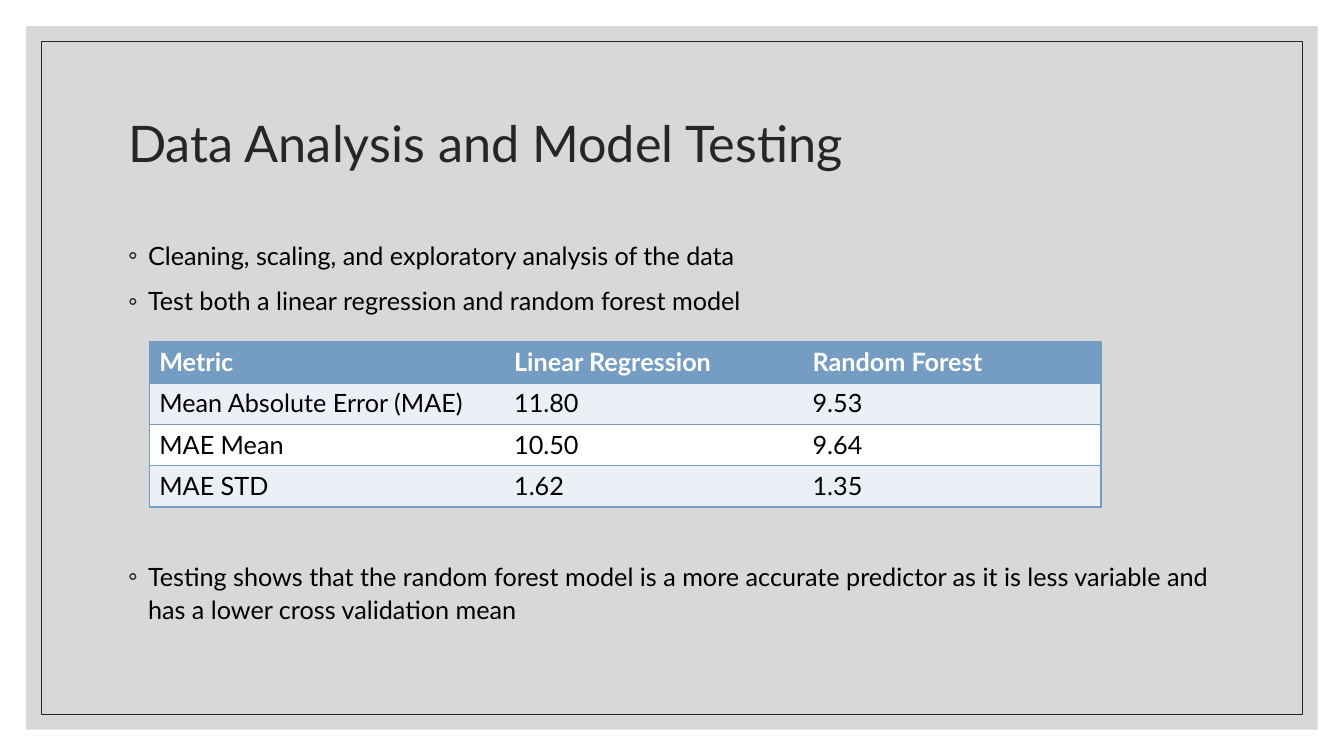
from dataclasses import dataclass

from lxml.etree import SubElement
from pptx import Presentation
from pptx.dml.color import RGBColor
from pptx.enum.shapes import MSO_SHAPE as Shp
from pptx.enum.text import MSO_ANCHOR as Anchor, MSO_AUTO_SIZE as Fit, PP_ALIGN as Align
from pptx.oxml import parse_xml
from pptx.oxml.ns import nsdecls, qn
from pptx.util import Inches, Pt

COLORS = {"gray": "BFBFBF", "dark": "262626", "text": "000000",
          "white": "FFFFFF", "blue": "759DC3", "band": "ECEFF5"}
FONT = "Lato"


@dataclass
class Frame:
    """An inset rectangle around the slide."""
    inset: float
    fill: str = ""
    alpha: int = 100
    line: str = ""


@dataclass
class Bullet:
    """A bullet and the space above it in points."""
    text: str
    before: float = 9


FRAMES = [Frame(0.26, fill="gray", alpha=60), Frame(0.41, line="dark")]
TITLE = "Data Analysis and Model Testing"
BULLETS = [
    Bullet("Cleaning, scaling, and exploratory analysis of the data"),
    Bullet("Test both a linear regression and random forest model"),
    Bullet("Testing shows that the random forest model is a more accurate predictor "
           "as it is less variable and has a lower cross validation mean", 173),
]
ROWS = [
    ("Metric", "Linear Regression", "Random Forest"),
    ("Mean Absolute Error (MAE)", "11.80", "9.53"),
    ("MAE Mean", "10.50", "9.64"),
    ("MAE STD", "1.62", "1.35"),
]
COL_WIDTHS = (3.52, 2.96, 2.96)
ROW_HEIGHT = 0.41


def rgb(name: str) -> RGBColor:
    """Return a named colour."""
    return RGBColor.from_string(COLORS[name])


def set_attrs(obj, values: dict) -> None:
    """Set every attribute in values on obj."""
    for key, value in values.items():
        setattr(obj, key, value)


def add_run(p, text: str, size: float, color: str, bold: bool = False) -> None:
    """Add a formatted run to a paragraph."""
    r = p.add_run()
    r.text = text
    set_attrs(r.font, {"name": FONT, "size": Pt(size), "bold": bold})
    r.font.color.rgb = rgb(color)


def add_frame(prs, s, frame: Frame) -> None:
    """Draw a frame behind the title."""
    inset = Inches(frame.inset)
    sp = s.shapes.add_shape(Shp.RECTANGLE, inset, inset,
                            prs.slide_width - 2 * inset, prs.slide_height - 2 * inset)
    sp.shadow.inherit = False
    if frame.fill:
        sp.fill.solid()
        sp.fill.fore_color.rgb = rgb(frame.fill)
        clr = sp.element.spPr.find(".//" + qn("a:srgbClr"))
        SubElement(clr, qn("a:alpha"), val=str(frame.alpha * 1000))
    else:
        sp.fill.background()
    if frame.line:
        sp.line.color.rgb = rgb(frame.line)
        sp.line.width = Pt(0.5)
    else:
        sp.line.fill.background()
    s.shapes.title.element.addprevious(sp.element)


def add_title(s) -> None:
    """Place and format the title."""
    sp = s.shapes.title
    set_attrs(sp, {"left": Inches(1.17), "top": Inches(0.7),
                   "width": Inches(11), "height": Inches(1.5)})
    tf = sp.text_frame
    set_attrs(tf, {"vertical_anchor": Anchor.MIDDLE, "auto_size": Fit.NONE, "word_wrap": True})
    p = tf.paragraphs[0]
    set_attrs(p, {"alignment": Align.LEFT, "line_spacing": 0.9})
    add_run(p, TITLE, 36, "dark")


def add_bullets(s, bullets: list[Bullet]) -> None:
    """Write the bullets in one text box."""
    sp = s.shapes.add_textbox(Inches(1.17), Inches(2.3), Inches(11), Inches(4.21))
    tf = sp.text_frame
    tf.word_wrap = True
    for i, bullet in enumerate(bullets):
        p = tf.add_paragraph() if i else tf.paragraphs[0]
        set_attrs(p, {"line_spacing": 1.1, "space_before": Pt(bullet.before)})
        add_run(p, bullet.text, 18, "text")
        pPr = p._p.get_or_add_pPr()
        indent = Inches(0.2)
        pPr.set("marL", str(indent))
        pPr.set("indent", str(-indent))
        SubElement(SubElement(pPr, qn("a:buClr")), qn("a:srgbClr"), val=COLORS["dark"])
        SubElement(pPr, qn("a:buFont"), typeface=FONT)
        SubElement(pPr, qn("a:buChar"), char="◦")


def set_borders(cell, sides: str) -> None:
    """Rule the given sides of a cell and clear the others."""
    tcPr = cell._tc.get_or_add_tcPr()
    for i, side in enumerate("LRTB"):
        fill = (f'<a:solidFill><a:srgbClr val="{COLORS["blue"]}"/></a:solidFill>'
                if side in sides else "<a:noFill/>")
        tcPr.insert(i, parse_xml(f'<a:ln{side} {nsdecls("a")} w="{Pt(1)}">{fill}</a:ln{side}>'))


def add_metrics(s) -> None:
    """Build the table of model metrics."""
    tbl = s.shapes.add_table(len(ROWS), len(COL_WIDTHS), Inches(1.48), Inches(3.39),
                             Inches(sum(COL_WIDTHS)), Inches(ROW_HEIGHT * len(ROWS))).table
    tbl.horz_banding = False
    for col, width in zip(tbl.columns, COL_WIDTHS):
        col.width = Inches(width)
    last = len(COL_WIDTHS) - 1
    for i, row in enumerate(ROWS):
        header = i == 0
        fill = "blue" if header else ("white", "band")[i % 2]
        for j, text in enumerate(row):
            cell = tbl.cell(i, j)
            cell.fill.solid()
            cell.fill.fore_color.rgb = rgb(fill)
            add_run(cell.text_frame.paragraphs[0], text, 18,
                    "white" if header else "text", header)
            set_borders(cell, "TB" + "L" * (j == 0) + "R" * (j == last))


def main() -> None:
    """Build and save the slide."""
    prs = Presentation()
    set_attrs(prs, {"slide_width": Inches(13.33), "slide_height": Inches(7.5)})
    s = prs.slides.add_slide(prs.slide_layouts[5])
    for frame in FRAMES:
        add_frame(prs, s, frame)
    add_title(s)
    add_bullets(s, BULLETS)
    add_metrics(s)
    prs.save("out.pptx")


if __name__ == "__main__":
    main()
